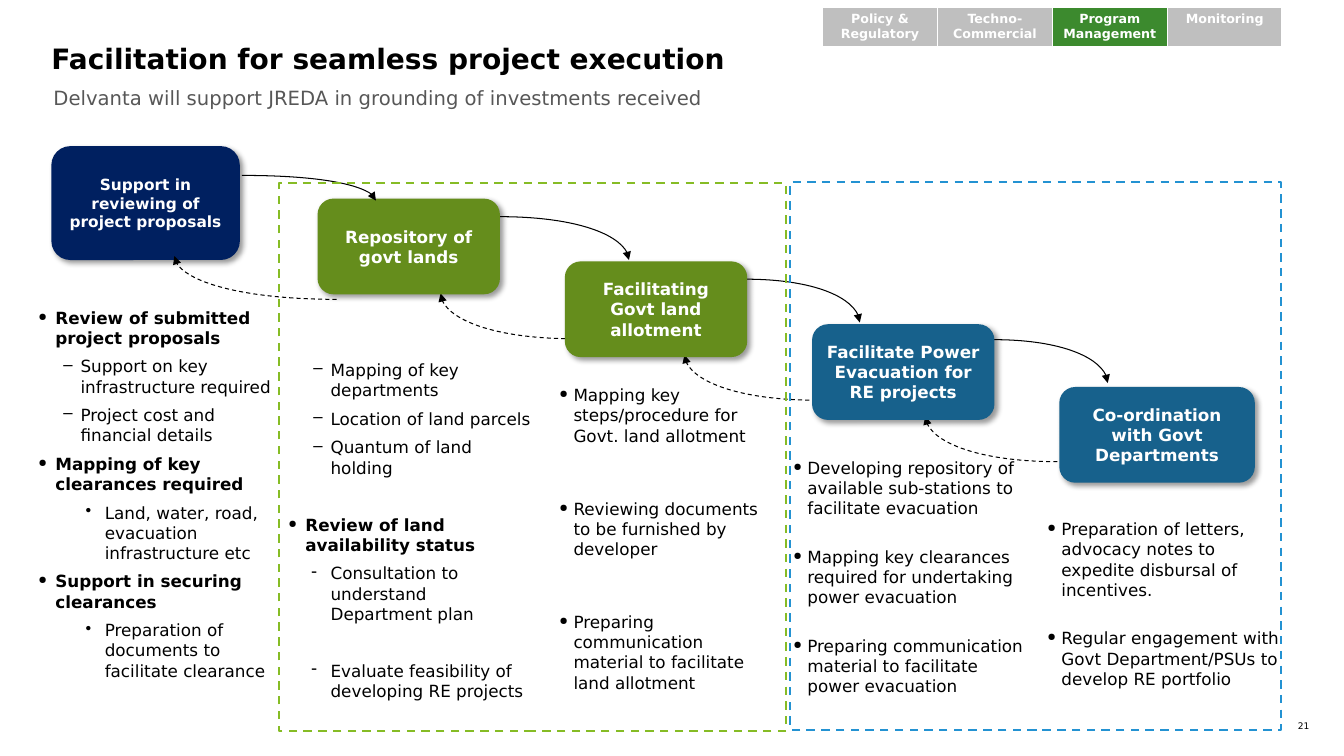
from lxml import etree
from pptx import Presentation
from pptx import util as u
from pptx.dml import color
from pptx.enum import dml, shapes, text
from pptx.oxml import ns

# Grid: ten columns and ten rows to the inch
CELL = u.Inches(0.1)
WIDE, HIGH = 133.33, 75
FONT = "DejaVu Sans"
INK = {
    "black": "000000", "white": "FFFFFF", "grey": "575757", "navy": "002060",
    "green": "658D1C", "blue": "17618C", "lime": "86BC25", "sky": "2392D2",
    "off": "BFBFBF", "on": "3C8A2E",
}
# Bullet kinds: left inches, hang inches, mark, mark size %, bold, space before
KINDS = {
    "head": (0.25, 0.17, "●", 65, True, 6),
    "dash": (0.5, 0.17, "–", 100, False, 6),
    "sub": (0.74, 0.19, "•", 100, False, 6),
    "hyphen": (0.5, 0.19, "-", 100, False, 6),
    "item": (0.21, 0.14, "●", 65, False, 3),
}
LINE = 14.4  # height of one line of 12 point text

TABS = ["Policy & Regulatory", "Techno-Commercial", "Program Management", "Monitoring"]
# Steps after the first: words, colour, width
STEPS = [
    ("Repository of govt lands", "green", 18.1),
    ("Facilitating Govt land allotment", "green", 18.1),
    ("Facilitate Power Evacuation for RE projects", "blue", 18.1),
    ("Co-ordination with Govt Departments", "blue", 19.4),
]
# Arrow pairs: start and end of the way on, start and end of the way back
PAIRS = [
    ((24, 17.4), (37.3, 19.9), (33.4, 29.7), (17.3, 25.4)),
    ((49.6, 21.5), (62.4, 25.8), (56.8, 33.6), (43.7, 29.1)),
    ((74, 27.7), (85.3, 32), (81, 39.7), (67.9, 35.2)),
    ((98.6, 33.7), (109.9, 38), (104.9, 45.8), (91.8, 41.3)),
]
# Lists: left, top, width, height, then kind, words and empty lines above
LISTS = [
    ((3, 30, 24.3, 41.2), [
        ("head", "Review of submitted project proposals", 0),
        ("dash", "Support on key infrastructure required", 0),
        ("dash", "Project cost and financial details", 0),
        ("head", "Mapping of key clearances required", 0),
        ("sub", "Land, water, road, evacuation infrastructure etc", 0),
        ("head", "Support in securing clearances", 0),
        ("sub", "Preparation of documents to facilitate clearance", 0)]),
    ((27.8, 35.2, 24.9, 35.2), [
        ("dash", "Mapping of key departments", 0),
        ("dash", "Location of land parcels", 0),
        ("dash", "Quantum of land holding", 0),
        ("head", "Review of land availability status", 1),
        ("hyphen", "Consultation to understand Department plan", 0),
        ("hyphen", "Evaluate feasibility of developing RE projects", 1)]),
    ((54.8, 37.7, 22, 34.2), [
        ("item", "Mapping key steps/procedure for Govt. land allotment", 0),
        ("item", "Reviewing documents to be furnished by developer", 2),
        ("item", "Preparing communication material to facilitate land allotment", 2)]),
    ((78, 44.9, 23.9, 24.9), [
        ("item", "Developing repository of available sub-stations to facilitate evacuation", 0),
        ("item", "Mapping key clearances required for undertaking power evacuation", 1),
        ("item", "Preparing communication material to facilitate power evacuation", 1)]),
    ((103.2, 51, 23.9, 18), [
        ("item", "Preparation of letters, advocacy notes to expedite disbursal of incentives.", 0),
        ("item", "Regular engagement with Govt Department/PSUs to develop RE portfolio", 1)]),
]


def grid(*cells):
    return [round(c * CELL) for c in cells]


def rgb(name):
    return color.RGBColor.from_string(INK[name])


def node(parent, tag, **attrs):
    return etree.SubElement(parent, ns.qn("a:" + tag), **attrs)


def write(para, words, size, ink, bold=False, align=None):
    para.alignment = align
    run = para.add_run()
    run.text = words
    run.font.name, run.font.size, run.font.bold = FONT, u.Pt(size), bold
    run.font.color.rgb = rgb(ink)


def area(slide, place, pad=0):
    frame = slide.shapes.add_textbox(*grid(*place)).text_frame
    frame.word_wrap = True
    frame.margin_left = frame.margin_right = 0
    frame.margin_top = frame.margin_bottom = u.Inches(pad)
    return frame


def label(slide, place, words, size, ink, bold=False, align=None):
    write(area(slide, place).paragraphs[0], words, size, ink, bold, align)


def bullets(slide, place, items):
    frame = area(slide, place, 0.05)
    for i, (kind, words, gap) in enumerate(items):
        left, hang, mark, share, bold, before = KINDS[kind]
        para = frame.add_paragraph() if i else frame.paragraphs[0]
        para.space_before = u.Pt(before + gap * (LINE + before) if i else 0)
        props = para._p.get_or_add_pPr()
        props.set("marL", str(u.Inches(left)))
        props.set("indent", str(-u.Inches(hang)))
        node(props, "buSzPct", val=str(share * 1000))
        node(props, "buChar", char=mark)
        write(para, words, 12, "black", bold)


def step(slide, place, words, fill, size=12):
    box = slide.shapes.add_shape(shapes.MSO_SHAPE.ROUNDED_RECTANGLE, *grid(*place))
    box.fill.solid()
    box.fill.fore_color.rgb = rgb(fill)
    box.line.fill.background()
    # Soft shadow to the lower right
    cast = node(node(box._element.spPr, "effectLst"), "outerShdw", blurRad=str(u.Pt(4)),
                dist=str(u.Pt(3)), dir="2700000", algn="tl", rotWithShape="0")
    node(node(cast, "srgbClr", val=INK["black"]), "alpha", val="40000")
    frame = box.text_frame
    frame.word_wrap = True
    frame.vertical_anchor = text.MSO_ANCHOR.MIDDLE
    write(frame.paragraphs[0], words, size, "white", True, text.PP_ALIGN.CENTER)


def curve(slide, start, end, dashed):
    (x1, y1), (x2, y2) = start, end
    bend = 0.55  # control points of a quarter ellipse
    points = [(x1 + bend * (x2 - x1), y1), (x2, y2 - bend * (y2 - y1)), end]
    pen = slide.shapes.build_freeform(*grid(*start))
    pen.add_line_segments([grid(*p) for p in points], close=False)
    arc = pen.convert_to_shape()
    arc.shadow.inherit = False
    arc.fill.background()
    arc.line.color.rgb = rgb("black")
    arc.line.width = u.Pt(0.75)
    if dashed:
        arc.line.dash_style = dml.MSO_LINE.DASH
    node(arc.line._get_or_add_ln(), "tailEnd", type="triangle")
    # Turn the three straight segments into one Bezier curve
    track = next(arc._element.iter(ns.qn("a:path")))
    legs = track.findall(ns.qn("a:lnTo"))
    bow = node(track, "cubicBezTo")
    for leg in legs:
        bow.append(leg[0])
        track.remove(leg)


def pair(slide, start, end, back, home):
    curve(slide, start, end, False)
    curve(slide, back, home, True)


def zone(slide, place, ink):
    box = slide.shapes.add_shape(shapes.MSO_SHAPE.RECTANGLE, *grid(*place))
    box.shadow.inherit = False
    box.fill.background()
    box.line.color.rgb = rgb(ink)
    box.line.width = u.Pt(1.5)
    box.line.dash_style = dml.MSO_LINE.DASH


def tabs(slide, place, names, current):
    table = slide.shapes.add_table(1, len(names), *grid(*place)).table
    for i, name in enumerate(names):
        cell = table.cell(0, i)
        write(cell.text_frame.paragraphs[0], name, 9, "white", True, text.PP_ALIGN.CENTER)
        props = cell._tc.get_or_add_tcPr()
        for side, width in (("L", 1), ("R", 1), ("T", 1), ("B", 3)):
            edge = node(props, "ln" + side, w=str(u.Pt(width)))
            node(node(edge, "solidFill"), "srgbClr", val=INK["white"])
        cell.fill.solid()
        cell.fill.fore_color.rgb = rgb("on" if name == current else "off")


def main():
    deck = Presentation()
    deck.slide_width, deck.slide_height = grid(WIDE, HIGH)
    slide = deck.slides.add_slide(deck.slide_layouts[6])

    # Heading, page number and section tabs
    label(slide, (5.1, 4.1, 123.1, 4.4), "Facilitation for seamless project execution",
          20, "black", True)
    label(slide, (5.3, 8.5, 123.1, 4.7),
          "Delvanta will support JREDA in grounding of investments received", 14, "grey")
    label(slide, (126.5, 71.5, 3.4, 1.1), "21", 6.5, "black", align=text.PP_ALIGN.RIGHT)
    tabs(slide, (81.6, 0.7, 45.6, 3.8), TABS, "Program Management")

    # Staircase of steps, with arrows on and back
    for ends in PAIRS[1:]:
        pair(slide, *ends)
    for i, (words, fill, wide) in enumerate(STEPS):
        step(slide, (31.5 + 24.53 * i, 19.7 + 6.23 * i, wide, 9.5), words, fill)
    step(slide, (5.1, 14.5, 18.7, 11.3), "Support in reviewing of project proposals", "navy", 11)
    pair(slide, *PAIRS[0])

    # Dashed zones and the lists under the steps
    zone(slide, (27.7, 18.2, 50.3, 54.3), "lime")
    zone(slide, (78.4, 18.1, 48.7, 54.3), "sky")
    for place, items in LISTS:
        bullets(slide, place, items)
    deck.save("out.pptx")


if __name__ == "__main__":
    main()
